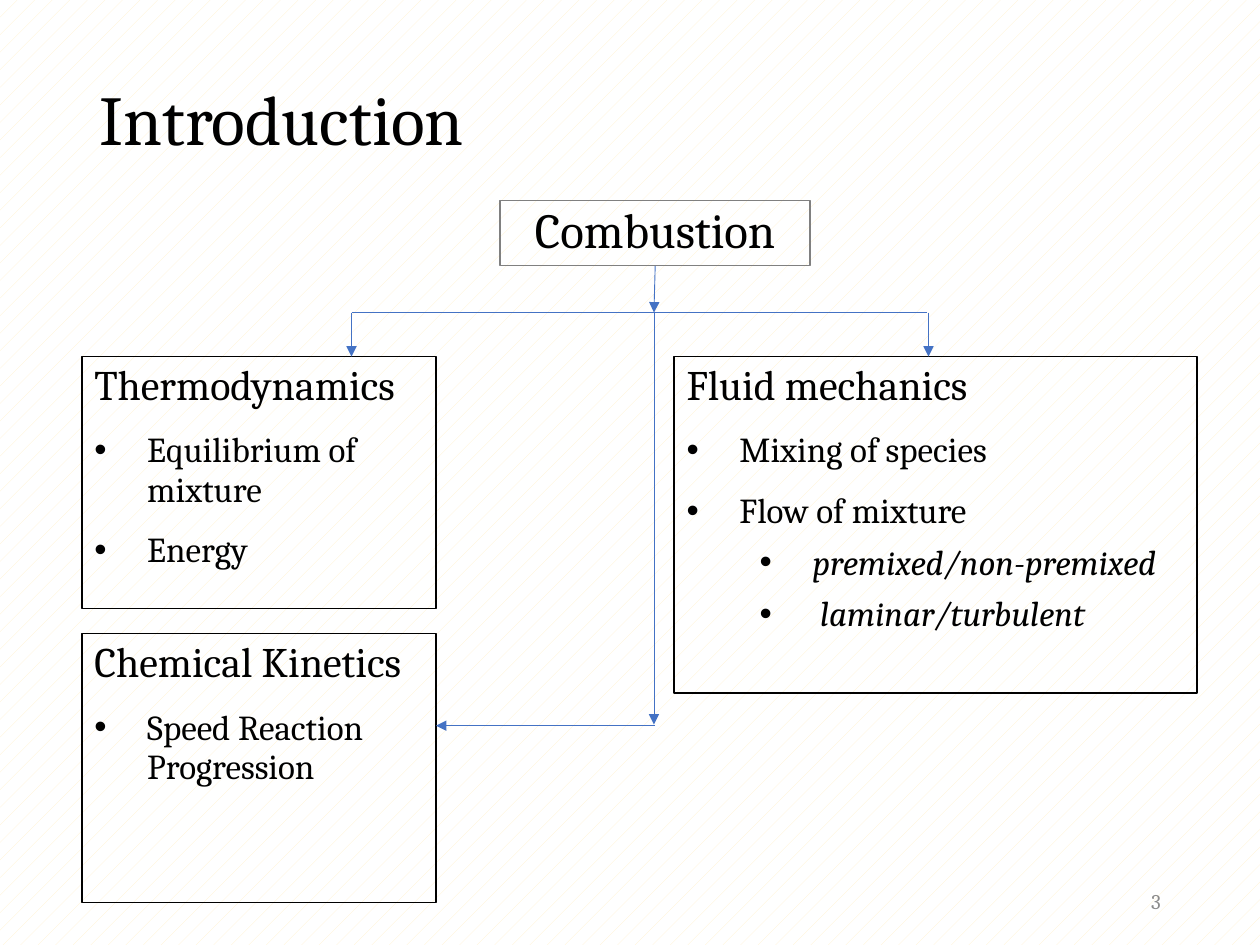
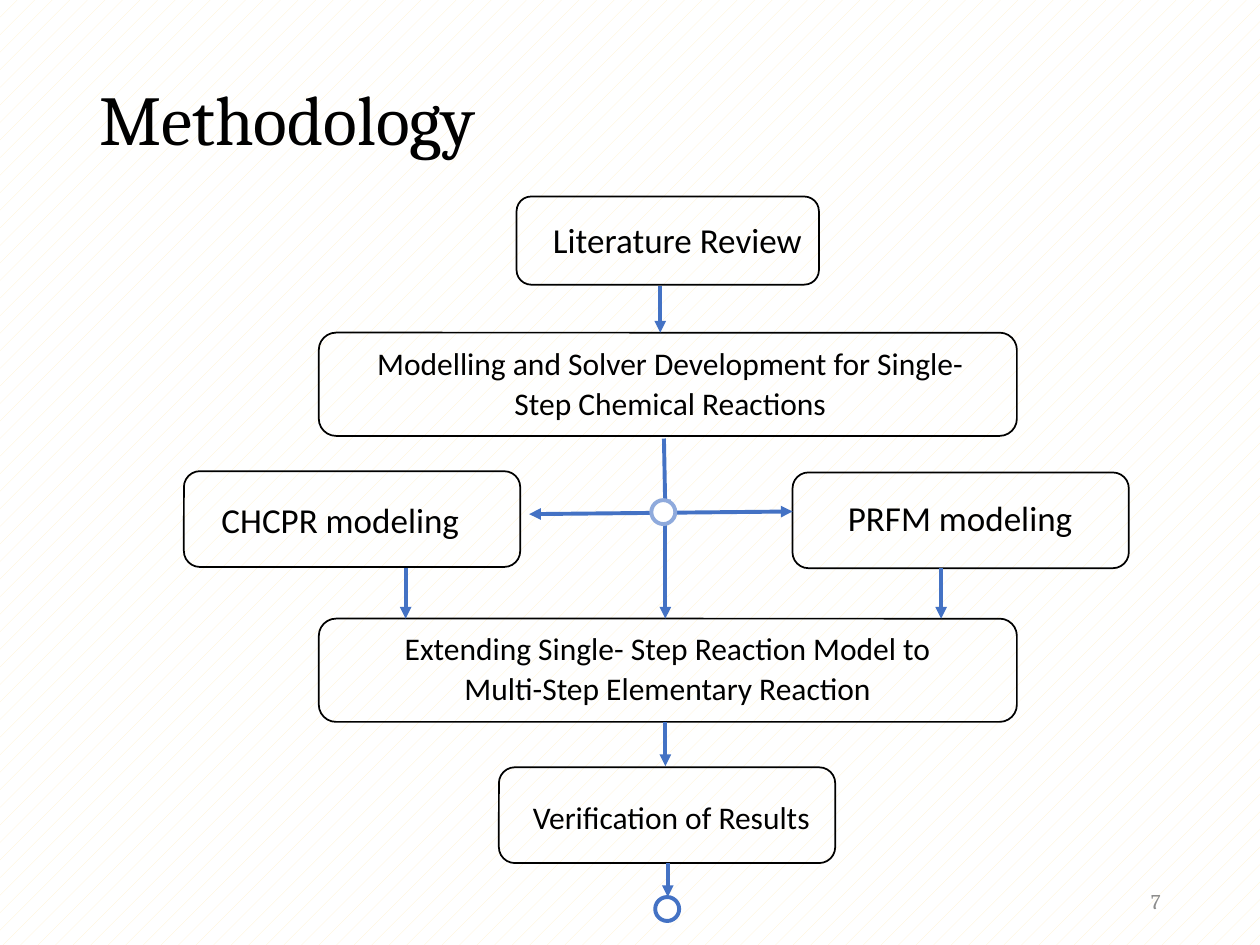
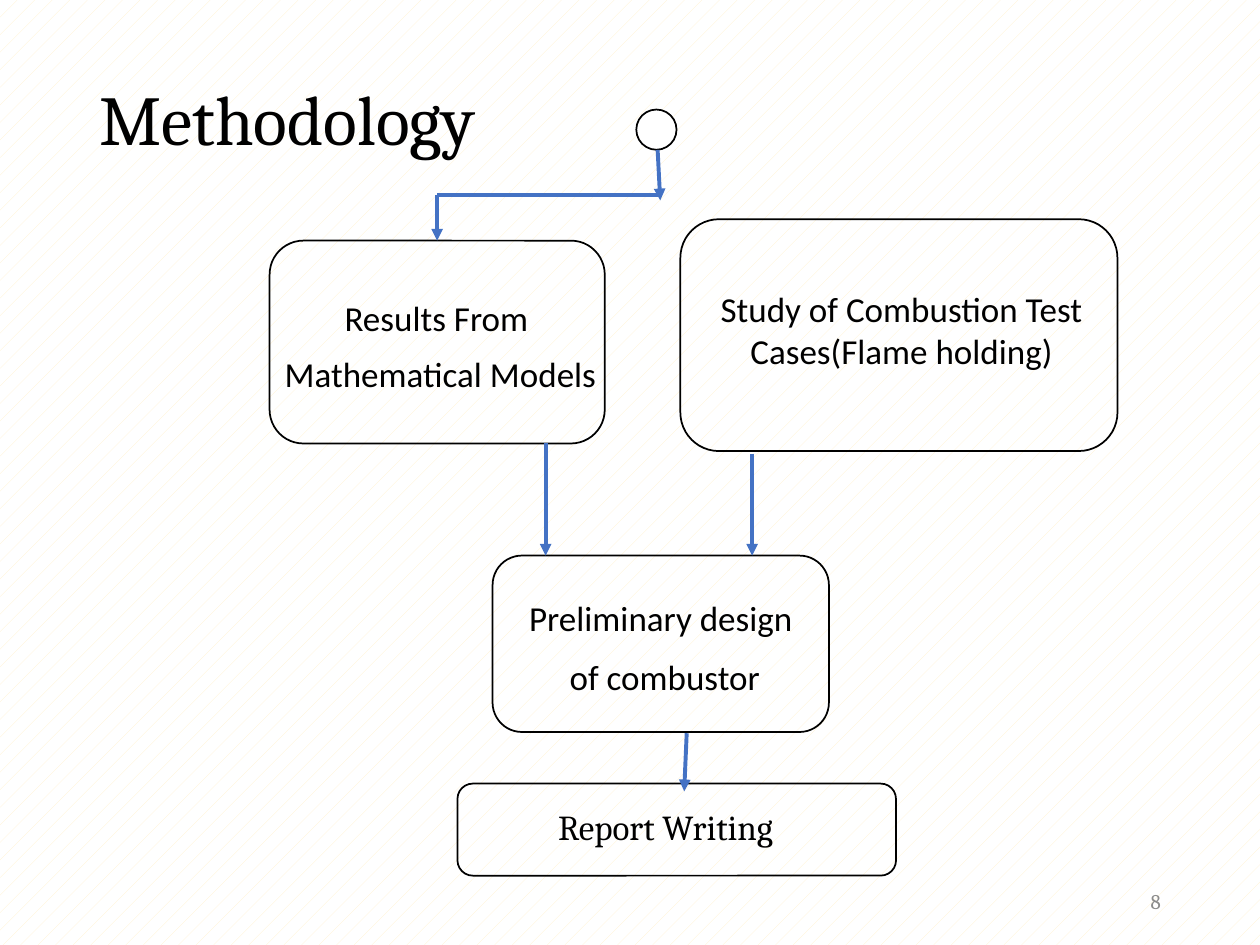
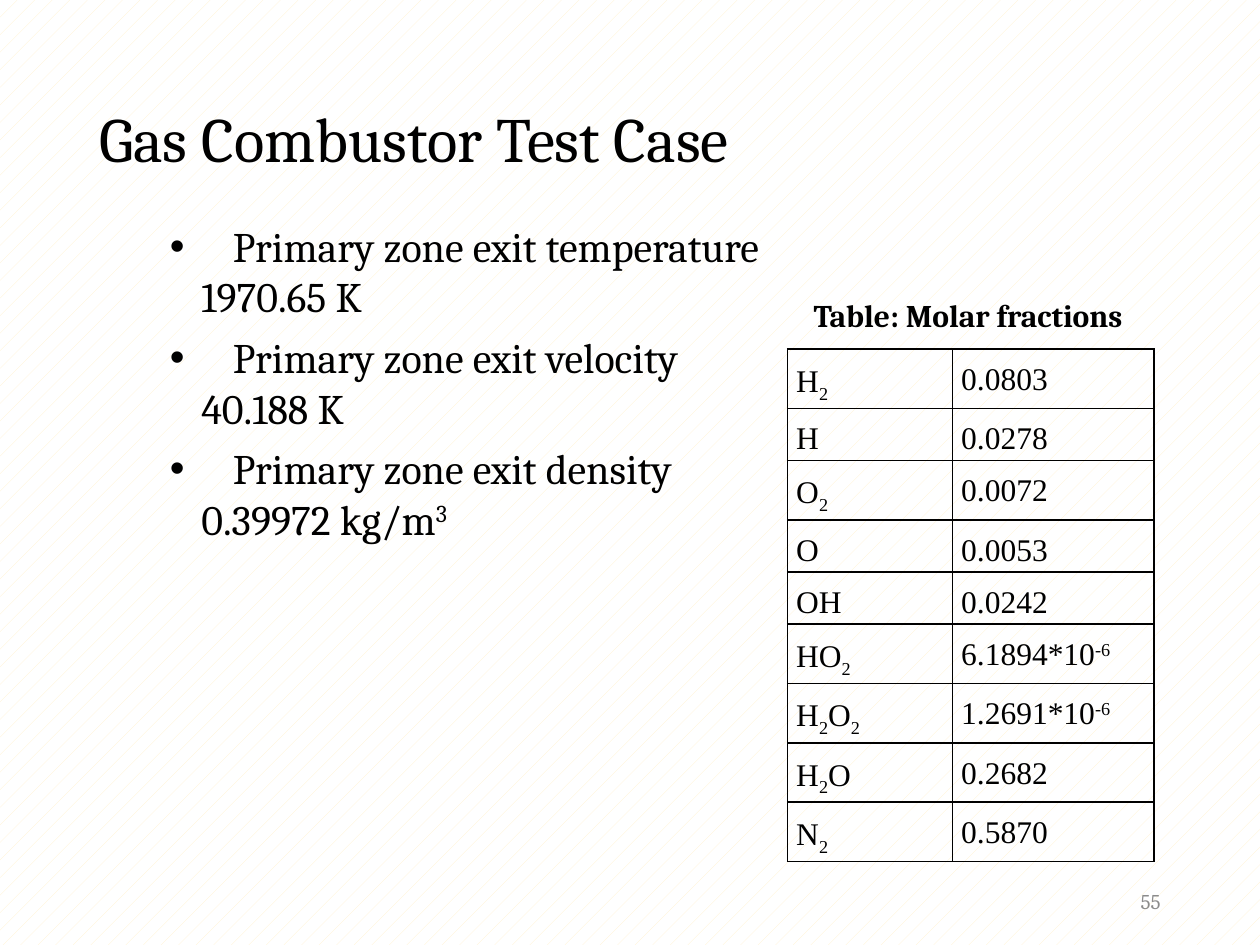
from itertools import groupby

from lxml import etree
from pptx import Presentation
from pptx.dml.color import RGBColor
from pptx.enum.dml import MSO_PATTERN
from pptx.enum.shapes import MSO_CONNECTOR, MSO_SHAPE
from pptx.enum.text import MSO_ANCHOR, PP_ALIGN
from pptx.oxml.ns import qn
from pptx.util import Pt

C = {k: RGBColor.from_string(v) for k, v in {
    "black": "000000", "white": "FFFFFF", "cream": "FFF2CC", "grey": "808080",
    "number": "8C8C8C", "blue": "4472C4", "light_blue": "8FAADC"}.items()}
RECT, ROUND, OVAL = MSO_SHAPE.RECTANGLE, MSO_SHAPE.ROUNDED_RECTANGLE, MSO_SHAPE.OVAL
LEFT, CENTER, RIGHT = PP_ALIGN.LEFT, PP_ALIGN.CENTER, PP_ALIGN.RIGHT
MIDDLE = MSO_ANCHOR.MIDDLE


def box(s, at, paras=(), geom=None, line="black", width=1, fill=None,
        anchor=MSO_ANCHOR.TOP, **style):
    """Add a text box or preset shape; a paragraph is (text, own style).
    In the text, a newline breaks the line and ^ starts a superscript."""
    x, y, w, h = map(Pt, at)
    if geom is None:
        sp = s.shapes.add_textbox(x, y, w, h)
    else:
        sp = s.shapes.add_shape(geom, x, y, w, h)
        sp.shadow.inherit = False
        sp.line.color.rgb = C[line]
        sp.line.width = Pt(width)
        if fill:
            sp.fill.solid()
            sp.fill.fore_color.rgb = C[fill]
        else:
            sp.fill.background()
    tf = sp.text_frame
    tf.word_wrap = True
    tf.vertical_anchor = anchor
    for i, (text, own) in enumerate(paras):
        st = dict(size=20, font="Cambria", color="black", align=LEFT, ls=1,
                  sb=0, sa=0, bold=False, italic=False, indent=None) | style | own
        p = tf.add_paragraph() if i else tf.paragraphs[0]
        p.alignment, p.line_spacing = st["align"], st["ls"]
        p.space_before, p.space_after = Pt(st["sb"]), Pt(st["sa"])
        if st["indent"]:
            margin, hang = st["indent"]
            pPr = p._p.get_or_add_pPr()
            pPr.set("marL", str(Pt(margin)))
            pPr.set("indent", str(-Pt(hang)))
            etree.SubElement(pPr, qn("a:buFont")).set("typeface", "Arial")
            etree.SubElement(pPr, qn("a:buChar")).set("char", "•")
        for j, row in enumerate(text.split("\n")):
            if j:
                p.add_line_break()
            for k, part in enumerate(row.split("^")):
                r = p.add_run()
                r.text = part
                f = r.font
                f.size, f.name, f.bold, f.italic = Pt(st["size"]), st["font"], st["bold"], st["italic"]
                f.color.rgb = C[st["color"]]
                if k:
                    r._r.get_or_add_rPr().set("baseline", "30000")


def line(s, x1, y1, x2, y2, width=2.25, ends=("tailEnd",)):
    cn = s.shapes.add_connector(MSO_CONNECTOR.STRAIGHT, Pt(x1), Pt(y1), Pt(x2), Pt(y2))
    cn.line.color.rgb = C["blue"]
    cn.line.width = Pt(width)
    ln = cn.line._get_or_add_ln()
    for end in ends:
        etree.SubElement(ln, qn("a:" + end)).set("type", "triangle")
    etree.SubElement(cn._element.spPr, qn("a:effectLst"))


prs = Presentation()
prs.slide_width, prs.slide_height = Pt(720), Pt(540)

# Background, title and number of every slide
slides = []
for title, number, size, height in [("Introduction", "3", 40, 82.8),
                                    ("Methodology", "7", 40, 82.8),
                                    ("Methodology", "8", 40, 82.8),
                                    ("Gas Combustor Test Case", "55", 36, 104.4)]:
    s = prs.slides.add_slide(prs.slide_layouts[6])
    bg = s.background.fill
    bg.patterned()
    bg.pattern = MSO_PATTERN.PERCENT_5
    bg.fore_color.rgb, bg.back_color.rgb = C["cream"], C["white"]
    box(s, (49.7, 28.8, 620.6, height), [(title, {})], size=size, ls=0.9, anchor=MIDDLE)
    box(s, (508.3, 500.4, 162, 28.8), [(number, {})], size=12, color="number",
        align=RIGHT, anchor=MIDDLE)
    slides.append(s)
intro, method, method_end, case = slides

# Introduction: topic tree
s = intro
box(s, (285.8, 114.5, 177.1, 37.4), [("Combustion", {})], RECT, "grey", 0.75,
    size=28, align=CENTER, ls=0.9, sb=10, sa=1)
head = dict(size=24)
item = dict(indent=(30.24, 30.24))
sub = dict(indent=(72, 30.24), sb=5, italic=True)
for at, paras in [
    ((46.8, 362.2, 202.3, 153.4), [("Chemical Kinetics", head),
                                   ("Speed Reaction Progression", item)]),
    ((385.2, 203.8, 298.8, 192.2), [("Fluid mechanics", head), ("Mixing of species", item),
                                    ("Flow of mixture", item), ("premixed/non-premixed", sub),
                                    (" laminar/turbulent", sub)]),
    ((46.8, 203.8, 202.3, 144), [("Thermodynamics", head),
                                 ("Equilibrium of mixture", item), ("Energy", item)]),
]:
    box(s, at, paras, RECT, width=0.75, ls=0.94, sb=10, sa=2)
for ends in [(200.9, 178.6, 200.9, 203.8), (530.6, 178.6, 530.6, 203.8),
             (374.4, 151.9, 373.7, 178.6), (373.7, 178.6, 373.7, 414),
             (374.4, 414.7, 249.1, 414.7)]:
    line(s, *ends, width=0.5)
line(s, 200.9, 178.6, 530, 178.6, width=0.5, ends=())

# Methodology: steps, each a frame with its label
s = method
for frame, label, text, size, align in [
    ((295.2, 112.3, 172.8, 50.4), (308.9, 119.5, 159.1, 40.3), "Literature Review", 20, LEFT),
    ((182.2, 190.1, 398.9, 59), (198.7, 191.5, 368.6, 55.4),
     "Modelling and Solver Development for Single-Step Chemical Reactions", 18, CENTER),
    ((105.1, 269.3, 192.2, 54.7), (119.5, 279.4, 182.9, 28.1), "CHCPR modeling", 20, LEFT),
    ((452.9, 270, 192.2, 54.7), (477.4, 278.6, 162, 28.1), "PRFM modeling", 20, LEFT),
    ((182.2, 353.5, 398.9, 59), (213.8, 354.2, 335.5, 55.4),
     "Extending Single- Step Reaction Model to Multi-Step Elementary Reaction", 18, CENTER),
    ((285.1, 438.5, 192.2, 54.7), (297.4, 450.7, 182.2, 37.4),
     "Verification of Results", 18, LEFT),
]:
    box(s, frame, geom=ROUND)
    box(s, label, [(text, {})], size=size, font="Calibri", align=align, ls=1.07, sa=8)
for ends in [(377.3, 163.4, 377.3, 190.1), (379.4, 250.6, 380.2, 292.3),
             (380.2, 412.6, 380.2, 437.8), (381.6, 493.2, 381.6, 512.6),
             (380.2, 292.3, 380.2, 353.5), (231.8, 324.7, 231.8, 353.5),
             (537.8, 324.7, 537.8, 353.5)]:
    line(s, *ends)
line(s, 302.4, 293.8, 452.9, 292.3, ends=("headEnd", "tailEnd"))
box(s, (374.4, 512.6, 13.7, 13.7), geom=OVAL, line="blue", width=2.25, fill="white")
box(s, (372.2, 285.8, 13.7, 13.7), geom=OVAL, line="light_blue", width=2.25, fill="white")

# Methodology, continued
s = method_end
wide = dict(ls=1.07)
for frame, label, paras, style in [
    ((154.1, 137.5, 191.5, 115.9), (125.3, 164.2, 252.7, 69.1),
     [("Results From ", wide), ("Mathematical Models", {})], {}),
    ((261.4, 447.8, 250.6, 52.6), (311.8, 456.5, 162, 31.7),
     [("Report Writing", {})], dict(font="Cambria", align=LEFT, sa=0)),
    ((388.8, 125.3, 249.8, 132.5), (388.8, 160.6, 252.7, 84.2),
     [("Study of Combustion Test Cases(Flame holding)", {})], {}),
    ((281.5, 317.5, 192.2, 100.8), (251.3, 335.5, 252.7, 84.2),
     [("Preliminary design", wide), (" of combustor", wide)], {}),
]:
    box(s, frame, geom=ROUND)
    box(s, label, paras, **(dict(font="Calibri", align=CENTER, sa=8) | style))
box(s, (363.6, 62.6, 23, 23), geom=OVAL, fill="white")
for ends in [(392.4, 419, 391, 452.2), (375.8, 85.7, 377.3, 114.5),
             (249.8, 111.6, 249.8, 137.5), (311.8, 253.4, 311.8, 317.5),
             (429.8, 259.2, 429.8, 317.5)]:
    line(s, *ends)
line(s, 249.8, 111.6, 377.3, 111.6, ends=())

# Test case: conditions
s = case
box(s, (54, 122.4, 617, 378),
    [("\tPrimary zone exit temperature\n1970.65 K", {}),
     ("\tPrimary zone exit velocity\n40.188 K", {}),
     ("\tPrimary zone exit density\n0.39972 kg/m^3", {})],
    size=24, sb=5, sa=1, indent=(54, 18))

# Test case: molar fractions
box(s, (457.9, 165.6, 204.5, 28.8), [("Table: Molar fractions", {})], size=18, bold=True)
fractions = [("H2", "0.0803"), ("H", "0.0278"), ("O2", "0.0072"), ("O", "0.0053"),
             ("OH", "0.0242"), ("HO2", "6.1894*10^-6"), ("H2O2", "1.2691*10^-6"),
             ("H2O", "0.2682"), ("N2", "0.5870")]
tbl = s.shapes.add_table(len(fractions), 2, Pt(450), Pt(199.4), Pt(209.5),
                         Pt(28.1 * len(fractions))).table
tbl.first_row = tbl.horz_banding = False
tbl.columns[0].width, tbl.columns[1].width = Pt(94.3), Pt(115.2)
for i, (species, value) in enumerate(fractions):
    formula = [("".join(g), -25000 if low else 0) for low, g in groupby(species, str.isdigit)]
    number = list(zip(value.split("^"), (0, 30000)))
    for j, runs in enumerate((formula, number)):
        cell = tbl.cell(i, j)
        cell.fill.background()
        cell.margin_left = cell.margin_right = Pt(5)
        cell.margin_top = cell.margin_bottom = 0
        p = cell.text_frame.paragraphs[0]
        p.alignment, p.line_spacing = PP_ALIGN.JUSTIFY, 1.38
        p.space_before = p.space_after = Pt(0)
        for text, baseline in runs:
            r = p.add_run()
            r.text = text
            r.font.size, r.font.name = Pt(18), "Times New Roman"
            r.font.color.rgb = C["black"]
            if baseline:
                r._r.get_or_add_rPr().set("baseline", str(baseline))
        tcPr = cell._tc.get_or_add_tcPr()
        for k, side in enumerate(("lnL", "lnR", "lnT", "lnB")):
            ln = etree.Element(qn("a:" + side), w=str(Pt(1)))
            solid = etree.SubElement(ln, qn("a:solidFill"))
            etree.SubElement(solid, qn("a:srgbClr")).set("val", str(C["black"]))
            tcPr.insert(k, ln)

prs.save("out.pptx")
